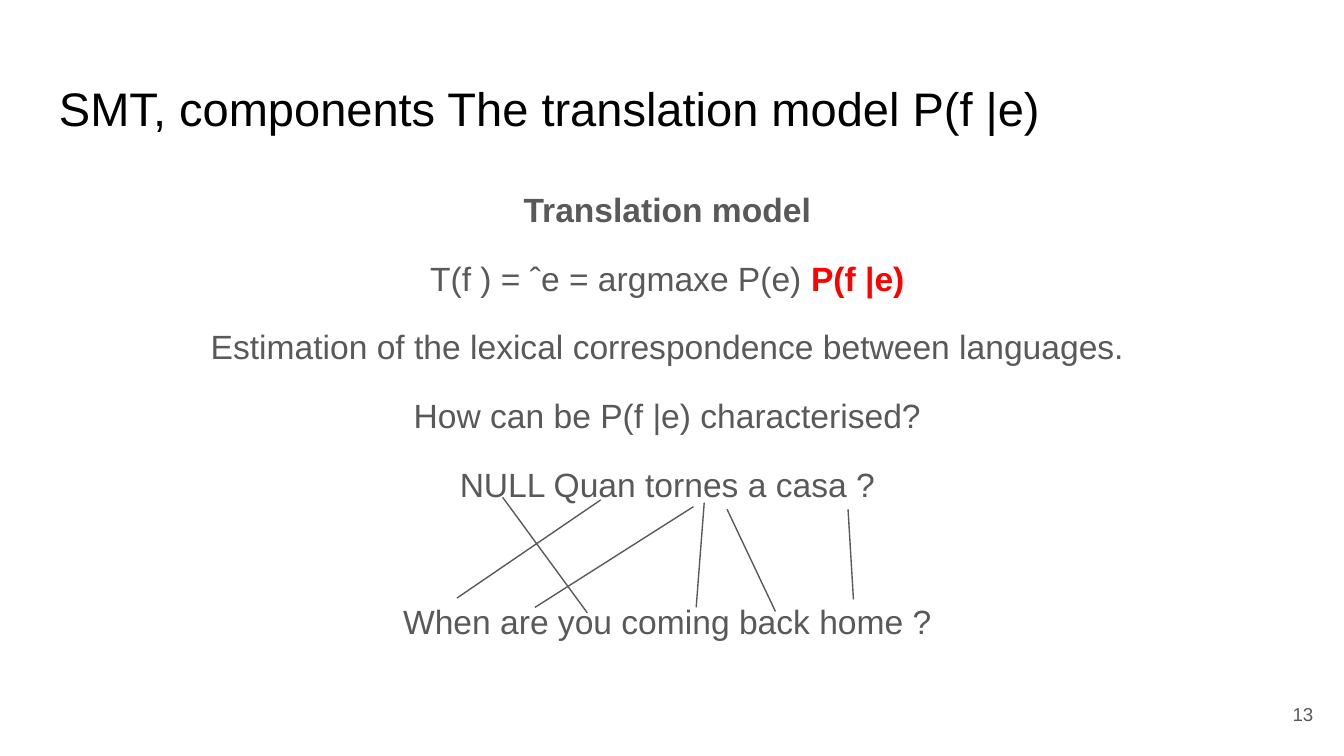
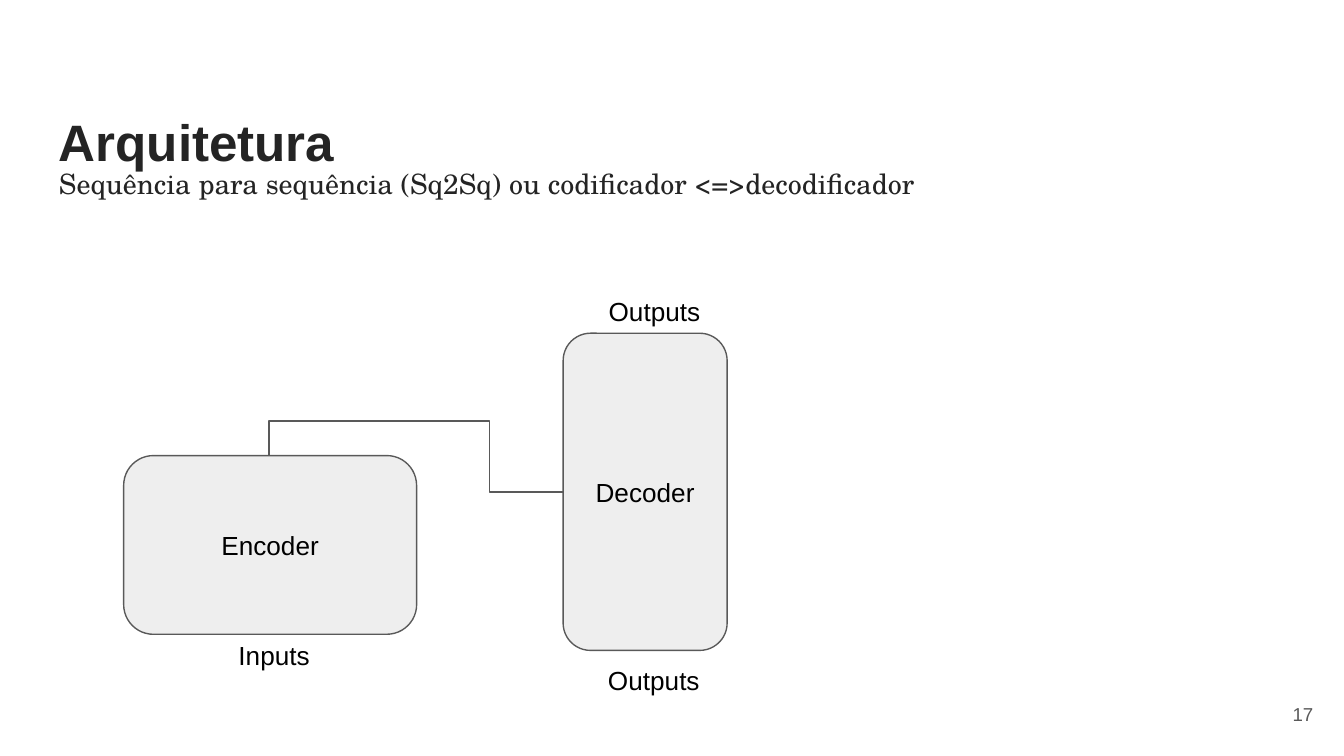
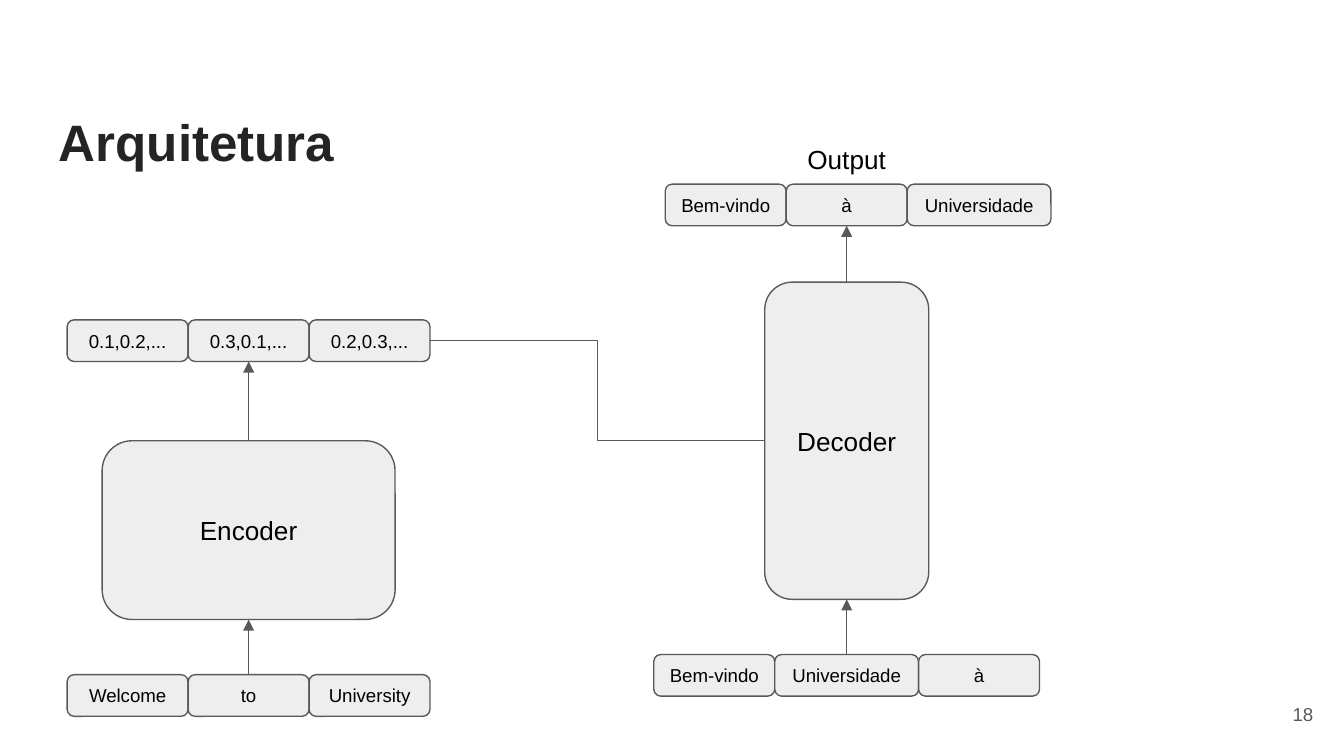
from lxml import etree
from pptx import Presentation
from pptx.dml.color import RGBColor
from pptx.enum import shapes, text
from pptx.oxml.ns import qn
from pptx.util import Inches, Pt

COLORS = {"black": "000000", "ink": "242424", "gray": "595959",
          "red": "FF0000", "panel": "EEEEEE"}
COLUMNS, ROWS = 100, 56.25
TOP, LEFT, BOTTOM, RIGHT = range(4)
ALIGN = text.PP_ALIGN


class Deck:
    """Shared style, the current slide and one method per kind of element."""

    def __init__(self):
        self.presentation = Presentation()
        self.presentation.slide_width = Inches(10)
        self.presentation.slide_height = Inches(5.625)
        self.slide = None

    def x(self, columns):
        return int(self.presentation.slide_width * columns / COLUMNS)

    def y(self, rows):
        return int(self.presentation.slide_height * rows / ROWS)

    def area(self, left, top, width, height):
        return self.x(left), self.y(top), self.x(width), self.y(height)

    def new_slide(self, number):
        self.slide = self.presentation.slides.add_slide(self.presentation.slide_layouts[6])
        self.label(str(number), (92.7, 51, 6, 4.3), size=10, color="gray",
                   align=ALIGN.RIGHT, anchor=text.MSO_ANCHOR.MIDDLE)

    def format_runs(self, paragraph, size, color, bold=False, font="Arial"):
        for run in paragraph.runs:
            run.font.name = font
            run.font.size = Pt(size)
            run.font.bold = bold
            run.font.color.rgb = RGBColor.from_string(COLORS[color])

    def frame(self, shape, anchor):
        text_frame = shape.text_frame
        text_frame.word_wrap = True
        text_frame.vertical_anchor = anchor
        text_frame.margin_left = text_frame.margin_right = Inches(0.1)
        text_frame.margin_top = text_frame.margin_bottom = Inches(0.1)
        return text_frame

    def label(self, words, area, size=14, color="black", align=ALIGN.CENTER,
              anchor=text.MSO_ANCHOR.TOP, bold=False, font="Arial"):
        text_frame = self.frame(self.slide.shapes.add_textbox(*self.area(*area)), anchor)
        text_frame.text = words
        paragraph = text_frame.paragraphs[0]
        paragraph.alignment = align
        self.format_runs(paragraph, size, color, bold, font)
        return text_frame

    def heading(self, words):
        text_frame = self.label(words, (3.4, 4, 93.2, 6.3), 27.4, "ink", ALIGN.LEFT, bold=True)
        text_frame.paragraphs[0].line_spacing = 1.7
        text_frame.paragraphs[0].space_before = Pt(27)

    def box(self, words, area, size=14):
        shape = self.slide.shapes.add_shape(
            shapes.MSO_SHAPE.ROUNDED_RECTANGLE, *self.area(*area))
        shape.shadow.inherit = False
        shape.fill.solid()
        shape.fill.fore_color.rgb = RGBColor.from_string(COLORS["panel"])
        self.outline(shape.line)
        text_frame = self.frame(shape, text.MSO_ANCHOR.MIDDLE)
        text_frame.text = words
        text_frame.paragraphs[0].alignment = ALIGN.CENTER
        self.format_runs(text_frame.paragraphs[0], size, "black")
        return shape

    def chip_row(self, words, center, top):
        """Touching chips, with the middle one centred on a column."""
        widths = [10.7 if word == "Universidade" else 9 for word in words]
        left = center - widths[1] / 2 - widths[0]
        chips = []
        for word, width in zip(words, widths):
            chips.append(self.box(word, (left, top, width, 3.1), size=10))
            left += width
        return chips

    def outline(self, line):
        line.color.rgb = RGBColor.from_string(COLORS["gray"])
        line.width = Pt(0.75)

    def line(self, start=(0, 0), end=(0, 0), kind=shapes.MSO_CONNECTOR.STRAIGHT):
        connector = self.slide.shapes.add_connector(
            kind, self.x(start[0]), self.y(start[1]), self.x(end[0]), self.y(end[1]))
        self.outline(connector.line)
        etree.SubElement(connector._element.spPr, qn("a:effectLst"))
        return connector

    def join(self, source, source_side, target, target_side,
             kind=shapes.MSO_CONNECTOR.STRAIGHT):
        connector = self.line(kind=kind)
        connector.begin_connect(source, source_side)
        connector.end_connect(target, target_side)
        return connector

    def arrow_up(self, source, target):
        connector = self.join(source, TOP, target, BOTTOM)
        line = connector._element.spPr.find(qn("a:ln"))
        etree.SubElement(line, qn("a:tailEnd"), type="triangle")

    def elbow_over(self, source, target, area, adjustments):
        """Elbow that leaves the top of source and enters the left of target."""
        connector = self.join(source, TOP, target, LEFT, shapes.MSO_CONNECTOR.ELBOW)
        (connector.left, connector.top,
         connector.width, connector.height) = self.area(*area)
        properties = connector._element.spPr
        transform = properties.find(qn("a:xfrm"))
        transform.attrib.pop("flipV", None)
        transform.set("rot", str(270 * 60000))
        transform.set("flipH", "1")
        geometry = properties.find(qn("a:prstGeom"))
        geometry.set("prst", "bentConnector4")
        guides = geometry.find(qn("a:avLst"))
        if guides is None:
            guides = etree.SubElement(geometry, qn("a:avLst"))
        for index, share in enumerate(adjustments, 1):
            etree.SubElement(guides, qn("a:gd"), name=f"adj{index}",
                             fmla=f"val {round(share * 100000)}")


def translation_model(deck):
    deck.new_slide(13)
    deck.label("SMT, components The translation model P(f |e)",
               (3.4, 4.9, 93.2, 6.3), 25.2, align=ALIGN.LEFT)

    # Body text: words, space before
    lines = [("Translation model ", 0),
             ("T(f ) = ˆe = argmaxe P(e) ", 12),
             ("Estimation of the lexical correspondence between languages. ", 12),
             ("How can be P(f |e) characterised? ", 12),
             ("NULL Quan tornes a casa ? ", 12),
             ("When are you coming back home ? ", 48.8)]
    text_frame = deck.label("", (3.4, 12.6, 93.2, 37.4))
    text_frame.text = "\n".join(words for words, _ in lines)
    for paragraph, (_, space) in zip(text_frame.paragraphs, lines):
        paragraph.alignment = ALIGN.CENTER
        paragraph.line_spacing = 1.15
        paragraph.space_before = Pt(space)
        deck.format_runs(paragraph, 18, "gray", bold=space == 0)
    formula = text_frame.paragraphs[1]
    term = formula.add_run()
    term.text = "P(f |e) "
    term.font.name, term.font.size, term.font.bold = "Arial", Pt(18), True
    term.font.color.rgb = RGBColor.from_string(COLORS["red"])

    # Word alignment
    for start, end in [((37.4, 37), (43.7, 45.6)), ((44.7, 37.2), (34, 44.5)),
                       ((51.6, 37.7), (39.8, 45.2)), ((52.4, 37.4), (51.8, 45.2)),
                       ((54.1, 37.9), (57.7, 45.5)), ((63.1, 37.9), (63.5, 44.6))]:
        deck.line(start, end)


def architecture_overview(deck):
    deck.new_slide(17)
    subtitle = deck.label("Sequência para sequência (Sq2Sq) ou codificador <=>decodificador",
                          (3.4, 11, 93.2, 22.3), 15, "ink", ALIGN.LEFT,
                          font="TeX Gyre Schola")
    subtitle.paragraphs[0].line_spacing = 1.15
    deck.heading("Arquitetura")

    # Encoder and decoder
    encoder = deck.box("Encoder", (9.2, 33.9, 21.8, 13.3))
    decoder = deck.box("Decoder", (41.9, 24.8, 12.2, 23.6))
    deck.label("Inputs", (4, 46.6, 32.8, 4.4))
    deck.label("Outputs", (32.3, 21, 32.8, 4.4))
    deck.label("Outputs", (42.9, 48.4, 11.5, 4.4))
    deck.elbow_over(encoder, decoder, (29.6, 24.3, 2.7, 21.9), (-0.95, 0.75))


def architecture_example(deck):
    deck.new_slide(18)
    deck.heading("Arquitetura")
    encoder_center, decoder_center = 18.5, 63

    # Encoder side
    encoder = deck.box("Encoder", (7.6, 32.8, 21.8, 13.3))
    vectors = deck.chip_row(["0.1,0.2,...", "0.3,0.1,...", "0.2,0.3,..."],
                            encoder_center, 23.8)
    source = deck.chip_row(["Welcome", "to", "University"], encoder_center, 50.2)
    deck.arrow_up(source[1], encoder)
    deck.arrow_up(encoder, vectors[1])

    # Decoder side
    decoder = deck.box("Decoder", (56.9, 21, 12.2, 23.6))
    shifted = deck.chip_row(["Bem-vindo", "Universidade", "à"], decoder_center, 48.7)
    output = deck.chip_row(["Bem-vindo", "à", "Universidade"], decoder_center, 13.7)
    deck.label("Output", (46.6, 9.7, 32.8, 4.4))
    deck.arrow_up(shifted[1], decoder)
    deck.arrow_up(decoder, output[1])

    deck.join(vectors[2], RIGHT, decoder, LEFT, shapes.MSO_CONNECTOR.ELBOW)


def main():
    deck = Deck()
    translation_model(deck)
    architecture_overview(deck)
    architecture_example(deck)
    deck.presentation.save("out.pptx")


if __name__ == "__main__":
    main()
